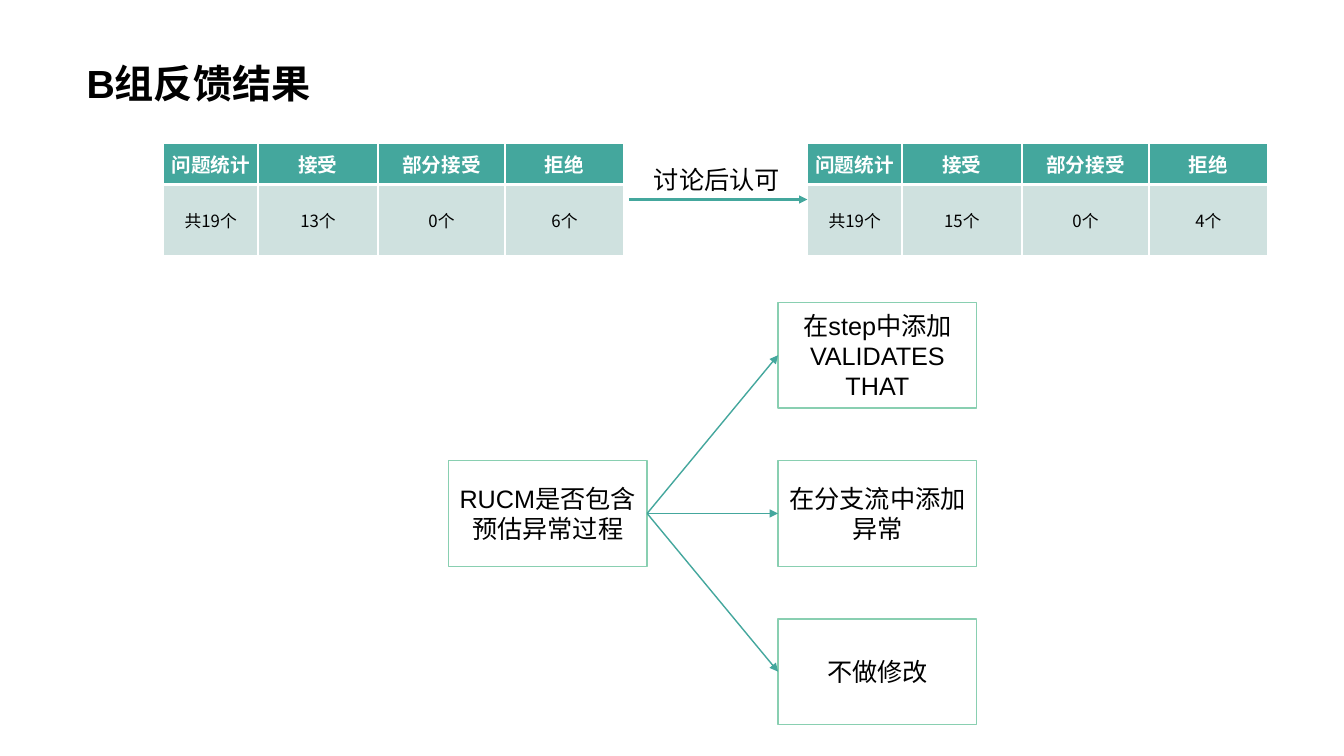
from lxml import etree
from pptx import Presentation
from pptx.dml.color import RGBColor
from pptx.enum.shapes import MSO_CONNECTOR, MSO_SHAPE
from pptx.enum.text import MSO_ANCHOR, MSO_AUTO_SIZE, PP_ALIGN
from pptx.oxml.ns import qn
from pptx.util import Pt

RECTANGLE = MSO_SHAPE.RECTANGLE
STRAIGHT = MSO_CONNECTOR.STRAIGHT
MIDDLE, BOTTOM = MSO_ANCHOR.MIDDLE, MSO_ANCHOR.BOTTOM
CENTER = PP_ALIGN.CENTER
FIT_SHAPE = MSO_AUTO_SIZE.SHAPE_TO_FIT_TEXT

BLACK = RGBColor(0x00, 0x00, 0x00)
WHITE = RGBColor(0xFF, 0xFF, 0xFF)
TEAL = RGBColor(0x44, 0xA7, 0x9D)
PALE_TEAL = RGBColor(0xCF, 0xE1, 0xDF)
MINT = RGBColor(0x89, 0xCF, 0xB1)

BODY_FONT = "Arial"
TABLE_FONT = "Noto Sans CJK SC"
LEFT_SIDE, RIGHT_SIDE = 1, 3

TABLE_TOP = 102.25
COLUMN_WIDTHS = [67.5, 85.75, 90.75, 85]
ROW_HEIGHTS = [29.5, 51]
HEADINGS = ["问题统计", "接受", "部分接受", "拒绝"]
TABLES = [
    (116.75, ["共19个", "13个", "0个", "6个"]),
    (576.75, ["共19个", "15个", "0个", "4个"]),
]

BOX_WIDTH, BOX_HEIGHT = 142, 75.5
QUESTION_LEFT, ANSWER_LEFT = 320.25, 555.75
ANSWER_TOP, ANSWER_STEP = 216, 113
ANSWERS = ["在step中添加VALIDATES THAT", "在分支流中添加异常", "不做修改"]


def apply_format(target, values):
    for name, value in values.items():
        setattr(target, name, value)


def write_text(frame, text, size, font=BODY_FONT, color=BLACK, bold=False, para_format=None):
    para = frame.paragraphs[0]
    apply_format(para, para_format or {})
    span = para.add_run()
    span.text = text
    apply_format(span.font, {"size": Pt(size), "name": font, "bold": bold})
    span.font.color.rgb = color
    east_asian = etree.SubElement(span.font._element, qn("a:ea"))
    east_asian.set("typeface", TABLE_FONT)


def add_text(page, bounds, text, size, frame_format, **text_format):
    box = page.shapes.add_textbox(*map(Pt, bounds))
    apply_format(box.text_frame, frame_format)
    write_text(box.text_frame, text, size, **text_format)


def add_cell_borders(cell, bottom_width):
    properties = cell._tc.get_or_add_tcPr()
    widths = {"lnL": 1, "lnR": 1, "lnT": 1, "lnB": bottom_width}
    for side, width in widths.items():
        border = etree.SubElement(properties, qn(f"a:{side}"), w=str(Pt(width)))
        fill = etree.SubElement(border, qn("a:solidFill"))
        etree.SubElement(fill, qn("a:srgbClr"), val=str(WHITE))


def fill_cell(cell, text, is_heading):
    cell_format = {
        "vertical_anchor": MIDDLE,
        "margin_left": Pt(0.75),
        "margin_right": Pt(0.75),
        "margin_top": 0,
        "margin_bottom": 0,
    }
    apply_format(cell, cell_format)
    add_cell_borders(cell, 3 if is_heading else 1)
    cell.fill.solid()
    cell.fill.fore_color.rgb = TEAL if is_heading else PALE_TEAL
    write_text(
        cell.text_frame,
        text,
        14 if is_heading else 12,
        font=TABLE_FONT,
        color=WHITE if is_heading else BLACK,
        bold=is_heading,
        para_format={"alignment": CENTER},
    )


def add_result_table(page, left, counts):
    rows = [HEADINGS, counts]
    size = sum(COLUMN_WIDTHS), sum(ROW_HEIGHTS)
    bounds = map(Pt, (left, TABLE_TOP, *size))
    table = page.shapes.add_table(len(rows), len(HEADINGS), *bounds).table
    for column, width in zip(table.columns, COLUMN_WIDTHS):
        column.width = Pt(width)
    for row, height in zip(table.rows, ROW_HEIGHTS):
        row.height = Pt(height)
    for row_index, texts in enumerate(rows):
        for column_index, text in enumerate(texts):
            fill_cell(table.cell(row_index, column_index), text, row_index == 0)


def add_box(page, left, top, text):
    box = page.shapes.add_shape(RECTANGLE, *map(Pt, (left, top, BOX_WIDTH, BOX_HEIGHT)))
    box.shadow.inherit = False
    box.fill.solid()
    box.fill.fore_color.rgb = WHITE
    box.line.color.rgb = MINT
    box.line.width = Pt(1)
    apply_format(box.text_frame, {"word_wrap": True, "vertical_anchor": MIDDLE})
    write_text(box.text_frame, text, 18, para_format={"alignment": CENTER})
    return box


def add_arrow(page, ends, width):
    arrow = page.shapes.add_connector(STRAIGHT, *map(Pt, ends))
    arrow.line.color.rgb = TEAL
    arrow.line.width = Pt(width)
    etree.SubElement(arrow.line._get_or_add_ln(), qn("a:tailEnd"), type="triangle")
    etree.SubElement(arrow._element.spPr, qn("a:effectLst"))
    return arrow


def join_boxes(page, start, end):
    arrow = add_arrow(page, (0, 0, 0, 0), 1)
    arrow.begin_connect(start, RIGHT_SIDE)
    arrow.end_connect(end, LEFT_SIDE)


def main():
    deck = Presentation()
    apply_format(deck, {"slide_width": Pt(960), "slide_height": Pt(540)})
    page = deck.slides.add_slide(deck.slide_layouts[6])

    add_text(
        page,
        (54.75, 0, 850.25, 80),
        "B组反馈结果",
        28,
        {"word_wrap": True, "vertical_anchor": BOTTOM},
        bold=True,
        para_format={"line_spacing": 0.9},
    )
    for left, counts in TABLES:
        add_result_table(page, left, counts)
    add_arrow(page, (449.25, 142.5, 576.75, 142.5), 1.5)
    add_text(
        page,
        (460, 113.75, 105, 29),
        "讨论后认可",
        18,
        {"word_wrap": False, "auto_size": FIT_SHAPE},
    )

    question = add_box(page, QUESTION_LEFT, ANSWER_TOP + ANSWER_STEP, "RUCM是否包含预估异常过程")
    answers = [
        add_box(page, ANSWER_LEFT, ANSWER_TOP + index * ANSWER_STEP, text)
        for index, text in enumerate(ANSWERS)
    ]
    for answer in answers:
        join_boxes(page, question, answer)
    deck.save("out.pptx")


if __name__ == "__main__":
    main()
